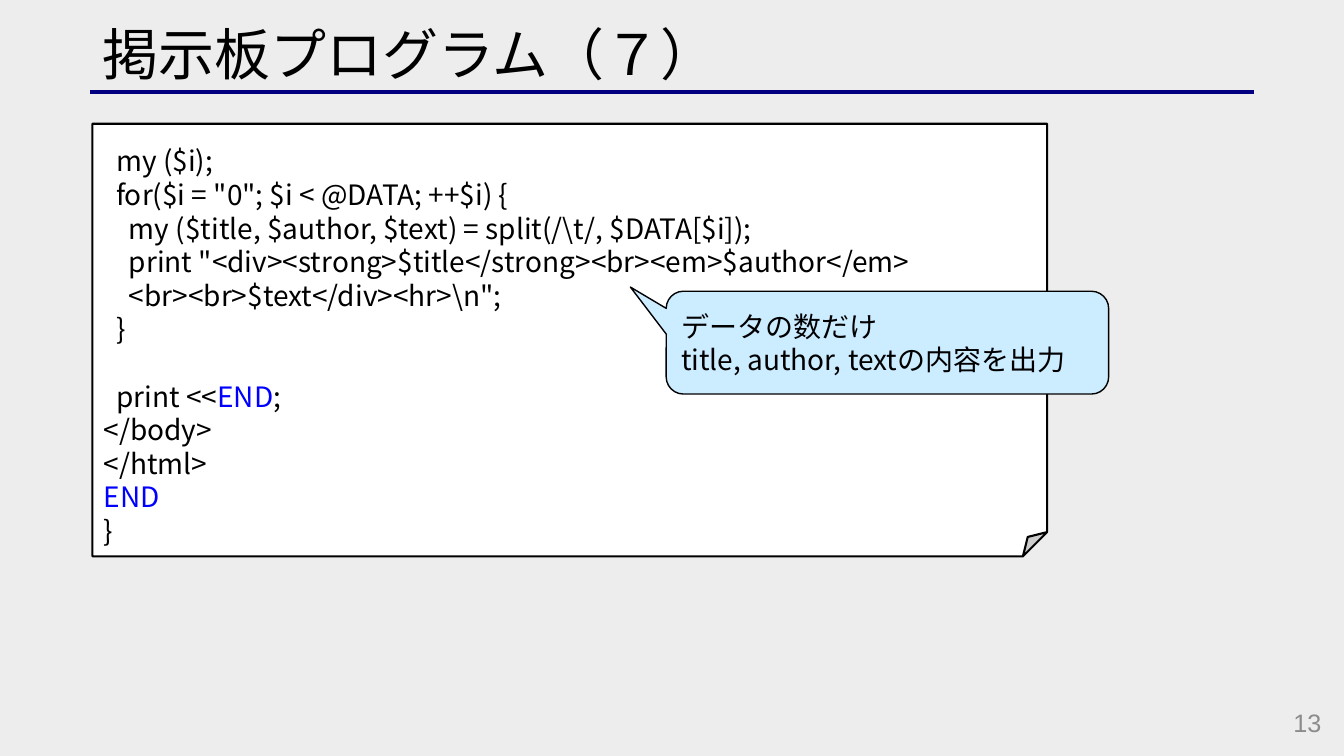
"""Build the bulletin-board program slide with its code sheet and callout."""
from dataclasses import dataclass

from lxml.etree import SubElement
from pptx import Presentation
from pptx.dml.color import RGBColor
from pptx.enum.shapes import MSO_CONNECTOR, MSO_SHAPE
from pptx.enum.text import MSO_ANCHOR, PP_ALIGN
from pptx.oxml.ns import qn
from pptx.util import Cm, Pt

TITLE = "掲示板プログラム（７）"
CODE = [
    (1, "my ($i);"),
    (1, 'for($i = "0"; $i < @DATA; ++$i) {'),
    (2, "my ($title, $author, $text) = split(/\\t/, $DATA[$i]);"),
    (2, 'print "<div><strong>$title</strong><br><em>$author</em>'),
    (2, '<br><br>$text</div><hr>\\n";'),
    (1, "}"),
    (1, "print <<END;"),
    (0, "</body>"),
    (0, "</html>"),
    (0, "END"),
    (0, "}"),
]
GAP_BEFORE = "print <<END;"
KEYWORD = "END"
CALLOUT = [(0, "データの数だけ"), (0, "title, author, textの内容を出力")]
PAGE_NUMBER = "13"


@dataclass(frozen=True)
class Theme:
    background: str = "EDEDED"
    rule: str = "000080"
    ink: str = "000000"
    keyword: str = "0000FF"
    sheet: str = "FFFFFF"
    callout: str = "CCECFF"
    number: str = "8C8C8C"
    title_size: int = 40
    body_size: int = 20
    number_size: int = 18
    leading: int = 24
    latin: str = "Arial"
    japanese: str = "Noto Sans CJK JP"


THEME = Theme()
INDENT = Cm(0.32)


def rgb(value):
    return RGBColor.from_string(value)


def write(shape, lines, *, size=THEME.body_size, color=THEME.ink, font=THEME.japanese,
          align=PP_ALIGN.LEFT, anchor=MSO_ANCHOR.TOP, spacing=Pt(THEME.leading)):
    frame = shape.text_frame
    frame.word_wrap = True
    frame.vertical_anchor = anchor
    for index, (depth, text) in enumerate(lines):
        para = frame.paragraphs[0] if index == 0 else frame.add_paragraph()
        para.alignment = align
        para.line_spacing = spacing
        para.space_before = Pt(THEME.leading if text == GAP_BEFORE else 0)
        para._p.get_or_add_pPr().set("marL", str(depth * INDENT))
        for part in filter(None, text.partition(KEYWORD)):
            span = para.add_run()
            span.text = part
            span.font.name = font
            span.font.size = Pt(size)
            span.font.color.rgb = rgb(THEME.keyword if part == KEYWORD else color)
            east_asian = span.font._element.makeelement(
                qn("a:ea"), {"typeface": THEME.japanese})
            span.font._element.find(qn("a:latin")).addnext(east_asian)


def add_panel(page, kind, place, fill, width, guides):
    panel = page.shapes.add_shape(kind, *map(Cm, place))
    panel.shadow.inherit = False
    panel.fill.solid()
    panel.fill.fore_color.rgb = rgb(fill)
    panel.line.color.rgb = rgb(THEME.ink)
    panel.line.width = Pt(width)
    geometry = panel._element.spPr.find(qn("a:prstGeom"))
    for values in geometry.findall(qn("a:avLst")):
        geometry.remove(values)
    values = SubElement(geometry, qn("a:avLst"))
    for name, value in guides.items():
        SubElement(values, qn("a:gd"), {"name": name, "fmla": f"val {value}"})
    return panel


def add_rule(page):
    rule = page.shapes.add_connector(
        MSO_CONNECTOR.STRAIGHT, Cm(2.27), Cm(2.32), Cm(31.6), Cm(2.32))
    rule.line.color.rgb = rgb(THEME.rule)
    rule.line.width = Pt(3)
    SubElement(rule._element.spPr, qn("a:effectLst"))


def main():
    deck = Presentation()
    deck.slide_width, deck.slide_height = Cm(33.87), Cm(19.05)
    page = deck.slides.add_slide(deck.slide_layouts[5])
    page.background.fill.solid()
    page.background.fill.fore_color.rgb = rgb(THEME.background)

    add_rule(page)
    title = page.shapes.title
    title.left, title.top, title.width, title.height = map(Cm, (2.33, 0.33, 29.21, 2))
    write(title, [(0, TITLE)], size=THEME.title_size, font=THEME.latin,
          anchor=MSO_ANCHOR.BOTTOM, spacing=0.9)

    add_panel(page, MSO_SHAPE.FOLDED_CORNER, (2.33, 3.12, 24.06, 10.9),
              THEME.sheet, 1.5, {"adj": 5600})
    code = page.shapes.add_textbox(*map(Cm, (2.36, 3.5, 24.06, 10.52)))
    write(code, CODE)

    callout = add_panel(page, MSO_SHAPE.ROUNDED_RECTANGULAR_CALLOUT,
                        (16.79, 7.34, 11.15, 2.59), THEME.callout, 1,
                        {"adj1": -58100, "adj2": -54100, "adj3": 16700})
    write(callout, CALLOUT, anchor=MSO_ANCHOR.MIDDLE)

    number = page.shapes.add_textbox(*map(Cm, (25.93, 17.7, 7.62, 1.02)))
    write(number, [(0, PAGE_NUMBER)], size=THEME.number_size, color=THEME.number,
          font=THEME.latin, align=PP_ALIGN.RIGHT, anchor=MSO_ANCHOR.MIDDLE, spacing=1.0)

    deck.save("out.pptx")


if __name__ == "__main__":
    main()
